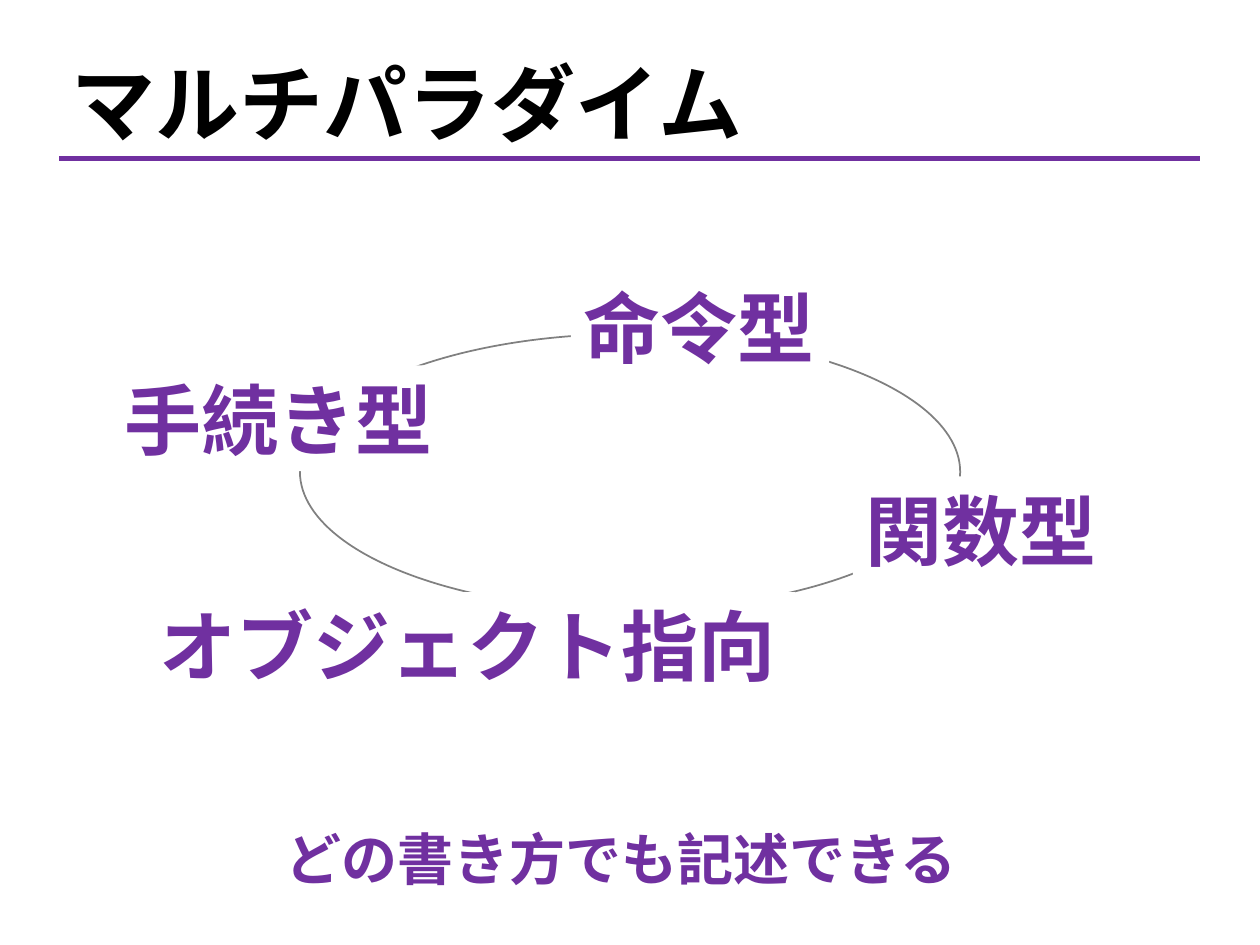
from lxml import etree
from pptx import Presentation
from pptx.dml.color import RGBColor
from pptx.enum import shapes, text
from pptx.oxml import ns
from pptx.util import Pt

PURPLE = RGBColor(0x70, 0x30, 0xA0)
GRAY = RGBColor(0x80, 0x80, 0x80)
WHITE = RGBColor(0xFF, 0xFF, 0xFF)
BLACK = RGBColor(0, 0, 0)
LATIN_FONT = "Lato"
JAPANESE_FONT = "Noto Sans CJK JP"


def write_text(frame, words, size, color=PURPLE, font=LATIN_FONT):
    """Put one bold, unwrapped line into a text frame."""
    frame.word_wrap = False
    frame.auto_size = text.MSO_AUTO_SIZE.NONE
    frame.vertical_anchor = text.MSO_ANCHOR.MIDDLE
    para = frame.paragraphs[0]
    para.alignment = text.PP_ALIGN.LEFT
    span = para.add_run()
    span.text = words
    span.font.name = font
    span.font.size = Pt(size)
    span.font.bold = True
    span.font.color.rgb = color
    east_asian = etree.SubElement(span.font._element, ns.qn("a:ea"))
    east_asian.set("typeface", JAPANESE_FONT)


class Painter:
    def __init__(self, page):
        self.page = page

    def label(self, words, left, top, width, height, size, **style):
        box = self.page.shapes.add_textbox(Pt(left), Pt(top), Pt(width), Pt(height))
        write_text(box.text_frame, words, size, **style)

    def rule(self, left, right, y, color, weight):
        line = self.page.shapes.add_connector(
            shapes.MSO_CONNECTOR.STRAIGHT, Pt(left), Pt(y), Pt(right), Pt(y))
        line.line.color.rgb = color
        line.line.width = Pt(weight)
        etree.SubElement(line._element.spPr, ns.qn("a:effectLst"))

    def ring(self, left, top, width, height, color, weight):
        oval = self.page.shapes.add_shape(
            shapes.MSO_SHAPE.OVAL, Pt(left), Pt(top), Pt(width), Pt(height))
        oval.shadow.inherit = False
        oval.fill.background()
        oval.line.color.rgb = color
        oval.line.width = Pt(weight)

    def plate(self, words, left, top, width, height, size):
        """A white rectangle that interrupts the ring behind its text."""
        box = self.page.shapes.add_shape(
            shapes.MSO_SHAPE.RECTANGLE, Pt(left), Pt(top), Pt(width), Pt(height))
        box.shadow.inherit = False
        box.fill.solid()
        box.fill.fore_color.rgb = WHITE
        box.line.fill.background()
        write_text(box.text_frame, words, size)


deck = Presentation()
deck.slide_width, deck.slide_height = Pt(720), Pt(540)
painter = Painter(deck.slides.add_slide(deck.slide_layouts[6]))

# Title and its rule
painter.label("マルチパラダイム", 34, 25.2, 402.5, 65.5, 48,
              color=BLACK, font=JAPANESE_FONT)
painter.rule(34, 686, 90.7, PURPLE, 3)

# Ring of paradigms
painter.ring(171.4, 190.8, 377.3, 157.7, GRAY, 1)
PARADIGMS = [
    ("オブジェクト指向", 84.2, 338.4, 370),
    ("命令型", 326.2, 156.2, 147.6),
    ("手続き型", 64.1, 208.8, 192.2),
    ("関数型", 487.4, 272.2, 147.6),
]
for words, left, top, width in PARADIGMS:
    painter.plate(words, left, top, width, 60.5, 44)

# Conclusion
painter.label("どの書き方でも記述できる", 156.2, 467.3, 402.5, 46, 32)

deck.save("out.pptx")
